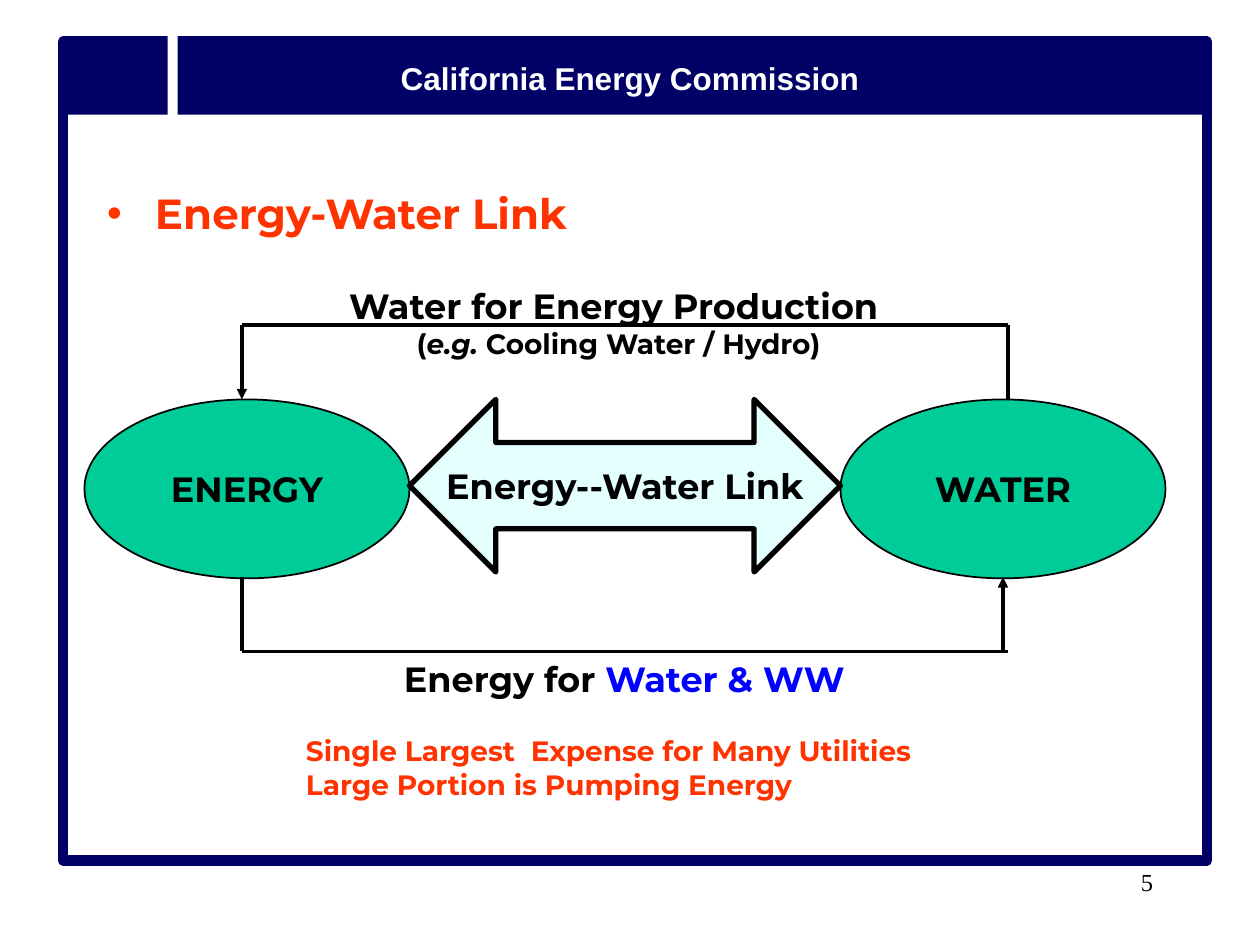
from lxml.etree import SubElement
from pptx import Presentation
from pptx.dml.color import RGBColor
from pptx.enum.shapes import MSO_CONNECTOR, MSO_SHAPE
from pptx.enum.text import MSO_ANCHOR, MSO_AUTO_SIZE, PP_ALIGN
from pptx.oxml.ns import qn
from pptx.util import Inches, Pt

NAVY = RGBColor(0x00, 0x00, 0x66)
WHITE = RGBColor(0xFF, 0xFF, 0xFF)
BLACK = RGBColor(0x00, 0x00, 0x00)
ORANGE = RGBColor(0xFF, 0x33, 0x00)
BLUE = RGBColor(0x00, 0x00, 0xFF)
GREEN = RGBColor(0x00, 0xCC, 0x99)
PALE_CYAN = RGBColor(0xCC, 0xFF, 0xFF)


class SlideBuilder:
    """Holds the text style and the current slide."""

    font_name = "Montserrat"

    def __init__(self, slide):
        self.slide = slide

    def format_runs(self, paragraph, size, color=BLACK, bold=True, font_name=None):
        for run in paragraph.runs:
            run.font.name = font_name or self.font_name
            run.font.size = Pt(size)
            run.font.bold = bold
            run.font.color.rgb = color

    def heading(self, text, left, top, width, height):
        shape = self.slide.placeholders[1]
        shape.left, shape.top = Inches(left), Inches(top)
        shape.width, shape.height = Inches(width), Inches(height)
        shape.fill.solid()
        shape.fill.fore_color.rgb = WHITE
        text_frame = shape.text_frame
        text_frame.auto_size = MSO_AUTO_SIZE.NONE
        text_frame.margin_top = Inches(0.32)
        text_frame.text = text
        paragraph = text_frame.paragraphs[0]
        paragraph.space_before = Pt(0)
        properties = paragraph._p.get_or_add_pPr()
        properties.set("marL", str(Inches(0.38)))
        properties.set("indent", str(Inches(-0.38)))
        bullet_color = SubElement(properties, qn("a:buClr"))
        SubElement(bullet_color, qn("a:srgbClr"), val=str(ORANGE))
        SubElement(properties, qn("a:buFont"), typeface="Arial")
        SubElement(properties, qn("a:buChar"), char="•")
        self.format_runs(paragraph, 24, ORANGE)

    def shape(self, kind, left, top, width, height, fill=None, line=None, line_width=1):
        shape = self.slide.shapes.add_shape(
            kind, Inches(left), Inches(top), Inches(width), Inches(height))
        shape.shadow.inherit = False
        if fill is None:
            shape.fill.background()
        else:
            shape.fill.solid()
            shape.fill.fore_color.rgb = fill
        if line is None:
            shape.line.fill.background()
        else:
            shape.line.color.rgb = line
            shape.line.width = Pt(line_width)
        return shape

    def label(self, shape, text):
        text_frame = shape.text_frame
        text_frame.word_wrap = False
        text_frame.vertical_anchor = MSO_ANCHOR.MIDDLE
        text_frame.text = text
        text_frame.paragraphs[0].alignment = PP_ALIGN.CENTER
        self.format_runs(text_frame.paragraphs[0], 20)

    def text(self, lines, left, top, width, height, alignment=PP_ALIGN.CENTER):
        """Each line is its text and the options of format_runs."""
        box = self.slide.shapes.add_textbox(
            Inches(left), Inches(top), Inches(width), Inches(height))
        text_frame = box.text_frame
        text_frame.word_wrap = True
        text_frame.text = "\n".join(text for text, _ in lines)
        for paragraph, (_, options) in zip(text_frame.paragraphs, lines):
            paragraph.alignment = alignment
            self.format_runs(paragraph, **options)
        return text_frame.paragraphs

    def add_run(self, paragraph, text, size, color=BLACK, italic=False):
        run = paragraph.add_run()
        run.text = text
        self.format_runs(paragraph, size)
        run.font.color.rgb = color
        run.font.italic = italic

    def line(self, start, end, arrow=False):
        connector = self.slide.shapes.add_connector(
            MSO_CONNECTOR.STRAIGHT, *(Inches(value) for value in start + end))
        connector.line.color.rgb = BLACK
        connector.line.width = Pt(2)
        if arrow:
            SubElement(connector.line._get_or_add_ln(), qn("a:tailEnd"), type="triangle")
        SubElement(connector._element.spPr, qn("a:effectLst"))


def main():
    presentation = Presentation()
    presentation.slide_width = Inches(10)
    presentation.slide_height = Inches(7.5)
    slide = presentation.slides.add_slide(presentation.slide_layouts[1])
    title = slide.shapes.title._element
    title.getparent().remove(title)
    builder = SlideBuilder(slide)

    # Heading, frame and header band
    builder.heading("Energy-Water Link", 0.75, 1.17, 8.5, 5.58)
    builder.shape(MSO_SHAPE.RECTANGLE, 0.5, 0.33, 9.08, 6.5, line=NAVY, line_width=6)
    builder.shape(MSO_SHAPE.RECTANGLE, 0.5, 0.33, 9.08, 0.58, fill=NAVY)
    builder.text([("California Energy Commission",
                   {"size": 18, "color": WHITE, "font_name": "Arial"})],
                 0.5, 0.42, 9, 0.4)
    builder.shape(MSO_SHAPE.RECTANGLE, 1.33, 0.25, 0.08, 0.67, fill=WHITE)

    # Slide number
    builder.text([("5", {"size": 14, "bold": False, "font_name": "Times New Roman"})],
                 7.17, 6.83, 2.08, 0.5, PP_ALIGN.RIGHT)

    # Energy and water, with the link between them
    for name, left in (("ENERGY", 0.67), ("WATER", 6.67)):
        ellipse = builder.shape(MSO_SHAPE.OVAL, left, 3.17, 2.58, 1.42, GREEN, BLACK)
        builder.label(ellipse, name)
    link = builder.shape(MSO_SHAPE.LEFT_RIGHT_ARROW, 3.25, 3.17, 3.42, 1.37,
                         PALE_CYAN, BLACK, 3)
    link.adjustments[0] = link.adjustments[1] = 0.5
    link_color = link._element.spPr.find(qn("a:solidFill")).find(qn("a:srgbClr"))
    SubElement(link_color, qn("a:alpha"), val="50000")
    builder.label(link, "Energy--Water Link")

    # Flow from energy to water below, and from water to energy above
    energy_x, water_x, arrow_x = 1.92, 8, 7.96
    upper_y, ellipse_top, ellipse_bottom, lower_y = 2.58, 3.17, 4.58, 5.17
    builder.line((energy_x, lower_y), (water_x, lower_y))
    builder.line((energy_x, ellipse_bottom), (energy_x, lower_y))
    builder.line((arrow_x, lower_y), (arrow_x, ellipse_bottom), arrow=True)
    builder.line((water_x, upper_y), (energy_x, upper_y))
    builder.line((water_x, ellipse_top), (water_x, upper_y))
    builder.line((energy_x, upper_y), (energy_x, ellipse_top), arrow=True)

    # Upper flow caption
    _, example = builder.text([("Water for Energy Production ", {"size": 20}),
                               ("(", {"size": 16})],
                              1.82, 2.21, 6.18, 0.7)
    builder.add_run(example, "e.g.", 16, italic=True)
    builder.add_run(example, " Cooling Water / Hydro)", 16)

    # Lower flow caption and remarks
    remark_style = {"size": 16, "color": ORANGE}
    caption, *remarks = builder.text(
        [("Energy for ", {"size": 20}),
         ("Single Largest  Expense for Many Utilities", remark_style),
         ("Large Portion is Pumping Energy", remark_style)],
        1.83, 5.17, 6.25, 2.25)
    builder.add_run(caption, "Water & WW", 20, BLUE)
    for remark in remarks:
        remark.alignment = PP_ALIGN.LEFT
        remark.level = 1
        remark._p.get_or_add_pPr().set("marL", str(Inches(0.5)))
    remarks[0].space_before = Pt(19.5)

    presentation.save("out.pptx")


if __name__ == "__main__":
    main()
